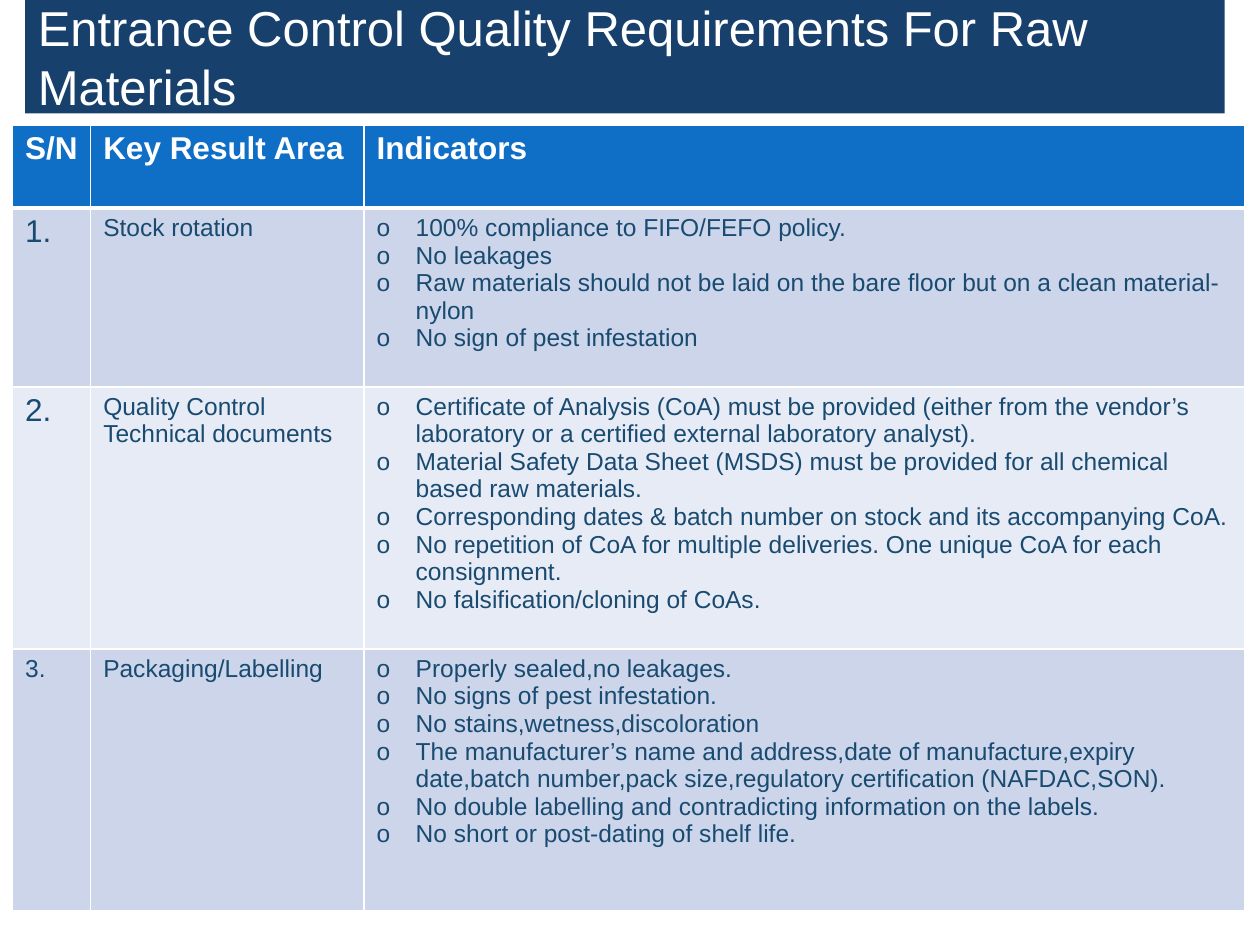
from lxml import etree
from pptx import Presentation
from pptx.dml.color import RGBColor
from pptx.enum.text import MSO_ANCHOR, MSO_AUTO_SIZE, PP_ALIGN
from pptx.oxml.ns import qn
from pptx.util import Inches, Pt

LEFT, MIDDLE = PP_ALIGN.LEFT, MSO_ANCHOR.MIDDLE
NO_AUTOFIT = MSO_AUTO_SIZE.NONE

FONT = "Arial"
WHITE = RGBColor(0xFF, 0xFF, 0xFF)
NAVY = RGBColor(0x17, 0x40, 0x6D)
BLUE = RGBColor(0x0F, 0x6F, 0xC6)
INK = RGBColor(0x19, 0x4B, 0x71)
BANDS = (RGBColor(0xCC, 0xD5, 0xEA), RGBColor(0xE7, 0xEB, 0xF5))

COL_WIDTHS = (0.62, 2.17, 6.99)
ROW_HEIGHTS = (0.66, 1.42, 2.08, 2.08)
HEADERS = ("S/N", "Key Result Area", "Indicators")
# Number, number size, key result area, indicators
AREAS = [
    ("1.", 18, "Stock rotation", [
        "100% compliance to FIFO/FEFO policy.",
        "No leakages",
        "Raw materials should not be laid on the bare floor but on a clean material- nylon",
        "No sign of pest infestation",
    ]),
    ("2.", 18, "Quality Control Technical documents", [
        "Certificate of Analysis (CoA) must be provided (either from the vendor’s "
        "laboratory or a certified external laboratory analyst).",
        "Material Safety Data Sheet (MSDS) must be provided for all chemical based raw materials.",
        "Corresponding dates & batch number on stock and its accompanying CoA.",
        "No repetition of CoA for multiple deliveries. One unique CoA for each consignment.",
        "No falsification/cloning of CoAs.",
    ]),
    ("3.", 14, "Packaging/Labelling", [
        "Properly sealed,no leakages.",
        "No signs of pest infestation.",
        "No stains,wetness,discoloration",
        "The manufacturer’s name and address,date of manufacture,expiry "
        "date,batch number,pack size,regulatory certification (NAFDAC,SON).",
        "No double labelling and contradicting information on the labels.",
        "No short or post-dating of shelf life.",
    ]),
]


def write(p, text, size=14, color=INK, bold=False):
    p.alignment = LEFT
    r = p.add_run()
    r.text = text
    r.font.name, r.font.size, r.font.bold = FONT, Pt(size), bold
    r.font.color.rgb = color


def add_bullet(p):
    pPr = p._p.get_or_add_pPr()
    pPr.set("marL", str(Inches(0.31)))
    pPr.set("indent", str(Inches(-0.31)))
    etree.SubElement(pPr, qn("a:buFont")).set("typeface", FONT)
    etree.SubElement(pPr, qn("a:buChar")).set("char", "o")


def add_borders(cell, **widths):
    tcPr = cell._tc.get_or_add_tcPr()
    for side in "LRTB":
        ln = etree.SubElement(tcPr, qn(f"a:ln{side}"), w=str(Pt(widths.get(side, 1))))
        fill = etree.SubElement(ln, qn("a:solidFill"))
        etree.SubElement(fill, qn("a:srgbClr"), val=str(WHITE))


def fill_cell(cell, lines, fill, bullets=False, borders=None, **fmt):
    add_borders(cell, **(borders or {}))
    cell.fill.solid()
    cell.fill.fore_color.rgb = fill
    tf = cell.text_frame
    for i, line in enumerate(lines):
        p = tf.add_paragraph() if i else tf.paragraphs[0]
        write(p, line, **fmt)
        if bullets:
            add_bullet(p)


def add_title(s, text):
    title = s.shapes.title
    title.left, title.top = Inches(0.2), Inches(0)
    title.width, title.height = Inches(9.52), Inches(0.9)
    title.fill.solid()
    title.fill.fore_color.rgb = NAVY
    tf = title.text_frame
    tf.word_wrap, tf.auto_size, tf.vertical_anchor = True, NO_AUTOFIT, MIDDLE
    write(tf.paragraphs[0], text, size=28, color=WHITE)


def add_requirements_table(s):
    table = s.shapes.add_table(
        len(ROW_HEIGHTS), len(COL_WIDTHS), Inches(0.1), Inches(0.99),
        Inches(sum(COL_WIDTHS)), Inches(sum(ROW_HEIGHTS))).table
    for col, width in zip(table.columns, COL_WIDTHS):
        col.width = Inches(width)
    for row, height in zip(table.rows, ROW_HEIGHTS):
        row.height = Inches(height)

    # Header row, with a heavier rule below it
    for c, text in enumerate(HEADERS):
        fill_cell(table.cell(0, c), [text], BLUE, borders={"B": 3},
                  size=18, color=WHITE, bold=True)

    # Banded body rows
    for i, (number, size, area, indicators) in enumerate(AREAS):
        band = BANDS[i % 2]
        top = {"T": 1 if i else 3}
        number_cell, area_cell, indicator_cell = table.rows[i + 1].cells
        fill_cell(number_cell, [number], band, borders=top, size=size)
        fill_cell(area_cell, [area], band, borders=top)
        fill_cell(indicator_cell, indicators, band, bullets=True, borders=top)


def main():
    prs = Presentation()
    prs.slide_width, prs.slide_height = Inches(10), Inches(7.5)
    s = prs.slides.add_slide(prs.slide_layouts[5])
    add_title(s, "Entrance Control Quality Requirements For Raw Materials")
    add_requirements_table(s)
    prs.save("out.pptx")


if __name__ == "__main__":
    main()
